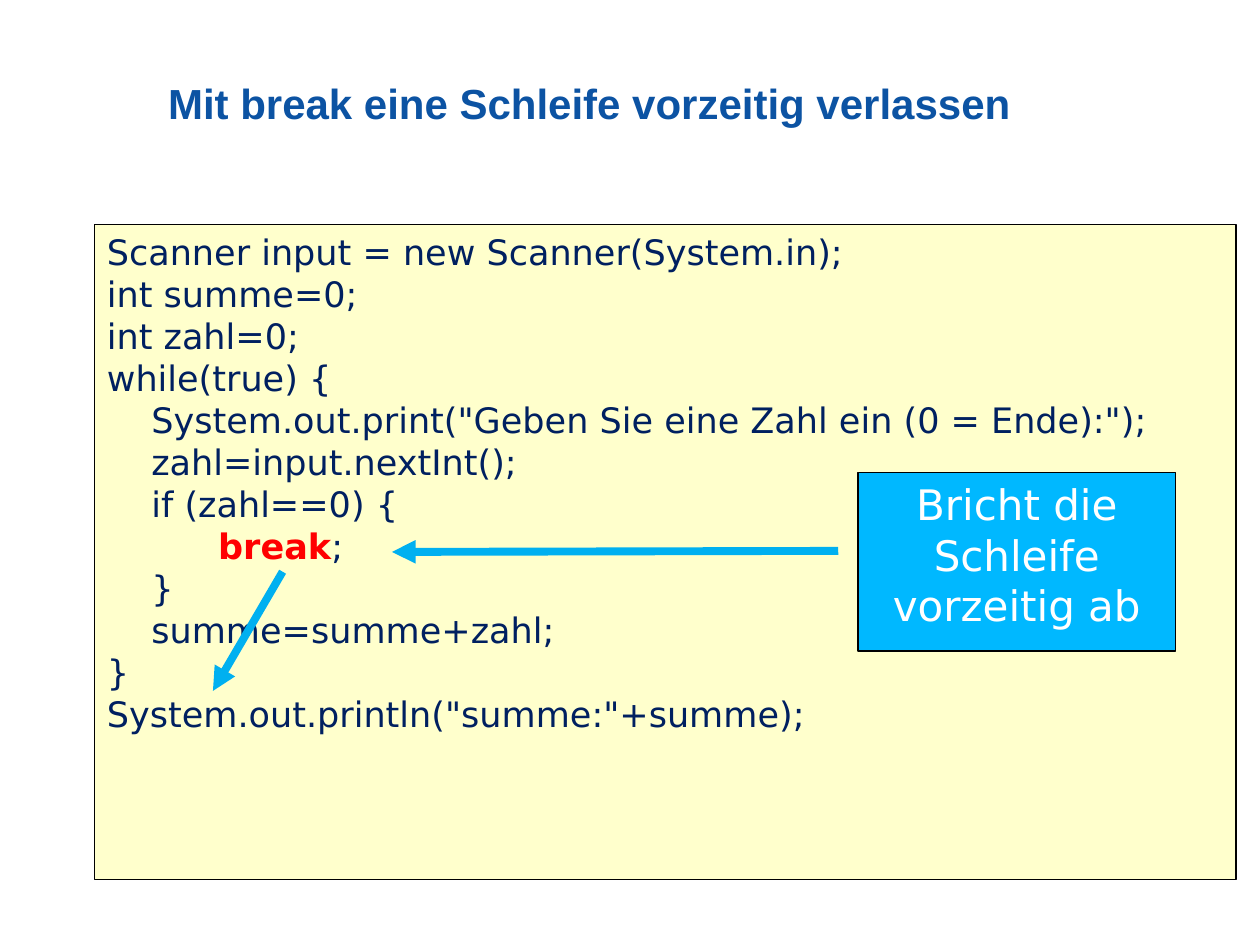
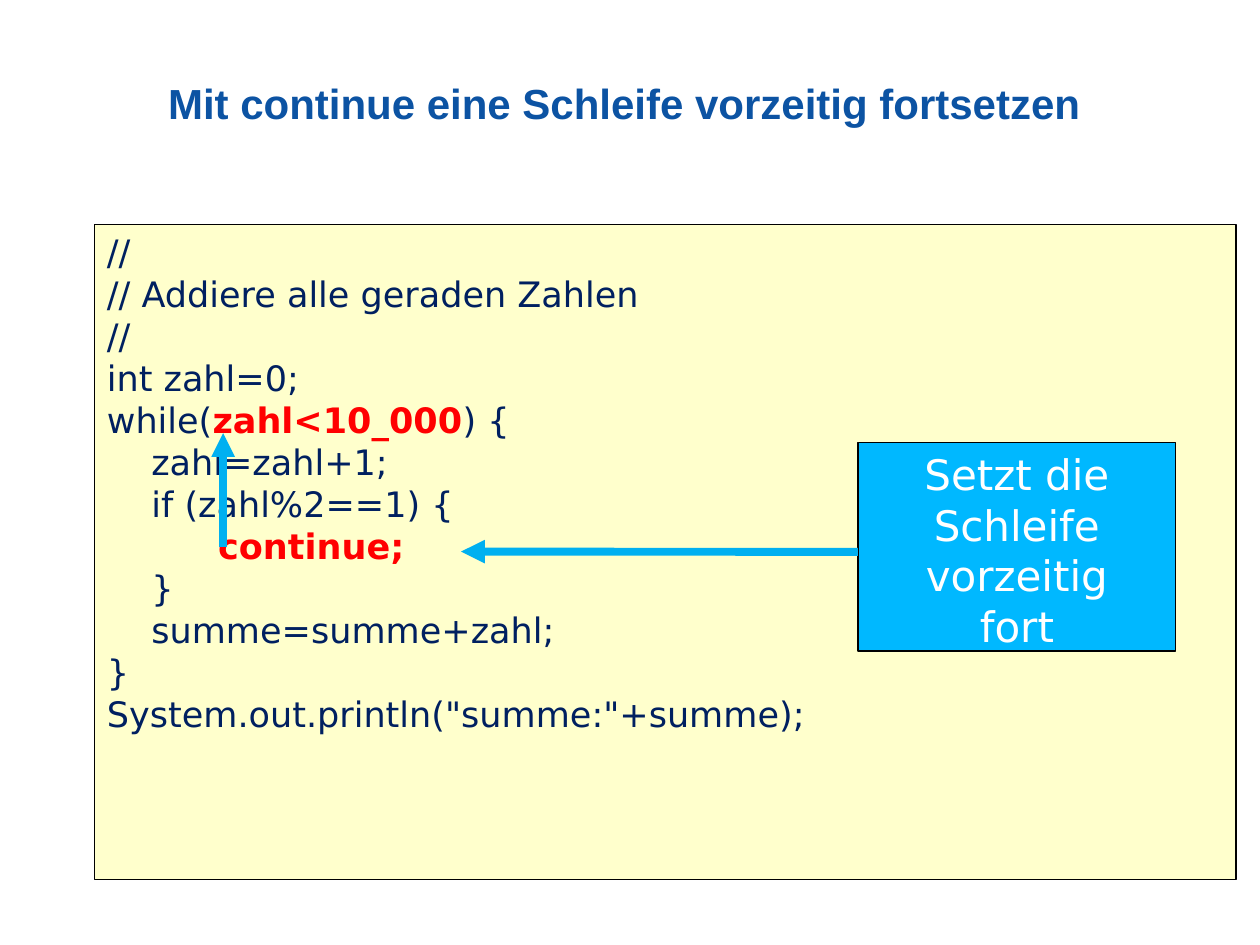
import pptx
import pptx.util
import pptx.dml.color
import pptx.enum.shapes
import pptx.enum.text
import pptx.oxml.xmlchemy
import lxml.etree
from pptx.util import Pt

COLOURS = {
    "title": "0C53A3",
    "code": "002060",
    "keyword": "FF0000",
    "code_fill": "FFFFCC",
    "callout_fill": "00B8FF",
    "callout_text": "FFFFFF",
    "arrow": "00B0F0",
    "outline": "000000",
}
TITLE_FONT = "Arial"
CODE_FONT = "DejaVu Sans"
SPACE_WIDTH = 6.36  # width of one blank in the 20 pt code font
CALLOUT_LEFT, CALLOUT_BOTTOM, CALLOUT_WIDTH = 490.3, 372, 181.6

ALIGN = pptx.enum.text.PP_ALIGN
ANCHOR = pptx.enum.text.MSO_ANCHOR

# Code lines: (indent in blanks, text); parts between bars are highlighted
LOOP_END = [
    (4, "}"),
    (4, "summe=summe+zahl;"),
    (0, "}"),
    (0, 'System.out.println("summe:"+summe);'),
]
BREAK_CODE = [
    (0, "Scanner input = new Scanner(System.in);"),
    (0, "int summe=0;"),
    (0, "int zahl=0;"),
    (0, "while(true) {"),
    (4, 'System.out.print("Geben Sie eine Zahl ein (0 = Ende):");'),
    (4, "zahl=input.nextInt();"),
    (4, "if (zahl==0) {"),
    (10, "|break|;"),
] + LOOP_END
CONTINUE_CODE = [
    (0, "//"),
    (0, "// Addiere alle geraden Zahlen"),
    (0, "//"),
    (0, "int zahl=0;"),
    (0, "while(|zahl<10_000|) {"),
    (4, "zahl=zahl+1;"),
    (4, "if (zahl%2==1) {"),
    (10, "|continue;|"),
] + LOOP_END


def rgb(name):
    return pptx.dml.color.RGBColor.from_string(COLOURS[name])


def add_span(para, text, font=CODE_FONT, size=20, colour="code", bold=False):
    span = para.add_run()
    span.text = text
    span.font.name = font
    span.font.size = Pt(size)
    span.font.bold = bold
    span.font.color.rgb = rgb(colour)


def next_para(frame, index):
    return frame.add_paragraph() if index else frame.paragraphs[0]


def set_title(page, text):
    title = page.shapes.title
    title.left, title.top, title.width, title.height = Pt(96), Pt(24), Pt(612), Pt(72)
    frame = title.text_frame
    frame.auto_size = pptx.enum.text.MSO_AUTO_SIZE.NONE
    frame.vertical_anchor = ANCHOR.MIDDLE
    frame.margin_left = frame.margin_right = frame.margin_top = frame.margin_bottom = 0
    para = frame.paragraphs[0]
    para.alignment = ALIGN.LEFT
    para.line_spacing = 0.95
    add_span(para, text, font=TITLE_FONT, size=24, colour="title", bold=True)


def add_box(page, left, top, width, height, fill):
    box = page.shapes.add_shape(pptx.enum.shapes.MSO_SHAPE.RECTANGLE,
                                Pt(left), Pt(top), Pt(width), Pt(height))
    box.shadow.inherit = False
    box.fill.solid()
    box.fill.fore_color.rgb = rgb(fill)
    box.line.color.rgb = rgb("outline")
    box.line.width = Pt(0.75)
    box.text_frame.word_wrap = True
    box.text_frame.vertical_anchor = ANCHOR.TOP
    return box


def add_code(page, lines):
    frame = add_box(page, 54, 128.2, 652.3, 374.4, "code_fill").text_frame
    for index, (blanks, line) in enumerate(lines):
        para = next_para(frame, index)
        para.alignment = ALIGN.LEFT
        # Indent by the paragraph margin
        para._p.get_or_add_pPr().set("marL", str(Pt(blanks * SPACE_WIDTH)))
        for position, part in enumerate(line.split("|")):
            marked = position % 2 == 1
            if part:
                add_span(para, part, bold=marked,
                         colour="keyword" if marked else "code")


def add_callout(page, top, lines):
    frame = add_box(page, CALLOUT_LEFT, top, CALLOUT_WIDTH,
                    CALLOUT_BOTTOM - top, "callout_fill").text_frame
    for index, line in enumerate(lines):
        para = next_para(frame, index)
        para.alignment = ALIGN.CENTER
        add_span(para, line, size=24, colour="callout_text")


def add_arrow(page, start, end):
    arrow = page.shapes.add_connector(pptx.enum.shapes.MSO_CONNECTOR.STRAIGHT,
                                      *map(Pt, start + end))
    arrow.line.color.rgb = rgb("arrow")
    arrow.line.width = Pt(4.5)
    # Arrowhead at the end, no shadow
    namespace = "{http://schemas.openxmlformats.org/drawingml/2006/main}"
    line = arrow.line._get_or_add_ln()
    lxml.etree.SubElement(line, namespace + "tailEnd", type="triangle")
    lxml.etree.SubElement(arrow._element.spPr, namespace + "effectLst")


def add_code_page(deck, title, code, callout_top, callout, arrows):
    page = deck.slides.add_slide(deck.slide_layouts[5])  # title only
    set_title(page, title)
    add_code(page, code)
    add_callout(page, callout_top, callout)
    for start, end in arrows:
        add_arrow(page, start, end)


def main():
    deck = pptx.Presentation()
    deck.slide_width, deck.slide_height = Pt(720), Pt(540)

    # Leaving a loop
    add_code_page(deck, "Mit break eine Schleife vorzeitig verlassen", BREAK_CODE,
                  270, ["Bricht die Schleife", "vorzeitig ab"],
                  [((479, 314.8), (224, 315.4)), ((161.5, 326.7), (121.7, 394.8))])

    # Continuing a loop
    add_code_page(deck, "Mit continue eine Schleife vorzeitig fortsetzen", CONTINUE_CODE,
                  253, ["Setzt die Schleife", "vorzeitig", "fort"],
                  [((CALLOUT_LEFT, 315.4), (263.5, 315.2)), ((127.5, 312.8), (127.5, 247.5))])

    deck.save("out.pptx")


if __name__ == "__main__":
    main()
